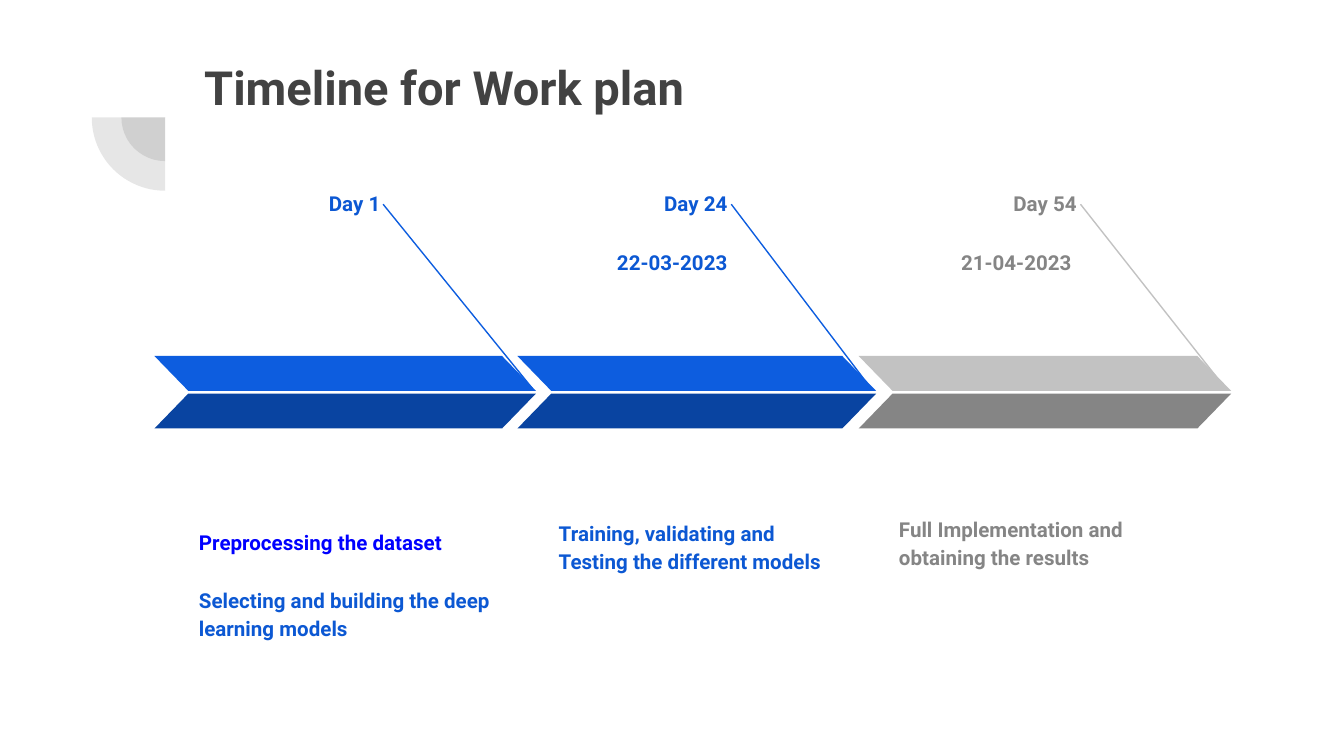
from lxml.etree import SubElement
from pptx import Presentation
from pptx.dml.color import RGBColor
from pptx.enum.shapes import MSO_CONNECTOR, MSO_SHAPE
from pptx.enum.text import PP_ALIGN
from pptx.oxml.ns import qn
from pptx.util import Cm, Pt

FONT = "Roboto"
DARK, BLUE, NAVY, BLUE_TEXT = "424242", "0D5DDF", "0944A1", "0C58D3"
PURE_BLUE, LIGHT_GRAY, GRAY = "0000FF", "C2C2C2", "858585"

TITLE = "Timeline for Work plan"

# Boxes are (left, top, width, height) in cm; tasks pair a text with its colour.
STAGES = [
    dict(dates=["Day 1"], date_box=(4.98, 3.3, 2.46, 1.14), date_color=BLUE_TEXT,
         tasks=[("Preprocessing the dataset", PURE_BLUE),
                ("Selecting and building the deep learning models", BLUE_TEXT)],
         task_box=(3.51, 9.7, 6.07, 3.45),
         bar=(2.92, 7.21), upper=BLUE, lower=NAVY, pointer=(7.24, 10.06)),
    dict(dates=["Day 24", "22-03-2023"], date_box=(10.82, 3.3, 3.18, 1.14),
         date_color=BLUE_TEXT,
         tasks=[("Training, validating and Testing the different models", BLUE_TEXT)],
         task_box=(10.31, 9.53, 5.72, 3.45),
         bar=(9.78, 6.78), upper=BLUE, lower=NAVY, pointer=(13.82, 16.46)),
    dict(dates=["Day 54", "21-04-2023 "], date_box=(17.48, 3.3, 3.12, 2.08),
         date_color=GRAY,
         tasks=[("Full Implementation and obtaining the results", GRAY)],
         task_box=(16.74, 9.45, 5.92, 4.7),
         bar=(16.23, 7.04), upper=LIGHT_GRAY, lower=GRAY, pointer=(20.42, 23.16)),
]
UPPER_TOP, LOWER_TOP, BAR_HEIGHT = 6.73, 7.44, 0.66
POINTER_TOP, POINTER_BOTTOM = 3.86, 7.34
PIE_CENTER, PIE_DIAMETERS = (3.12, 2.22), (1.65, 2.77)


def rgb(color):
    return RGBColor.from_string(color)


def add_text(page, box, lines, size=11, align=PP_ALIGN.LEFT, spacing=1.15):
    """Lines are (text, colour) pairs, one paragraph each."""
    frame = page.shapes.add_textbox(*map(Cm, box)).text_frame
    frame.word_wrap = True
    frame.margin_left = frame.margin_right = Cm(0.25)
    frame.margin_top = frame.margin_bottom = Cm(0.25)
    for index, (text, color) in enumerate(lines):
        para = frame.add_paragraph() if index else frame.paragraphs[0]
        para.alignment = align
        para.line_spacing = spacing
        if index:
            para.space_before = Pt(16)
        span = para.add_run()
        span.text = text
        span.font.name, span.font.size, span.font.bold = FONT, Pt(size), True
        span.font.color.rgb = rgb(color)


def add_filled(page, kind, box, color, adjustments):
    shape = page.shapes.add_shape(kind, *map(Cm, box))
    shape.shadow.inherit = False
    shape.fill.solid()
    shape.fill.fore_color.rgb = rgb(color)
    shape.line.fill.background()
    for index, value in enumerate(adjustments):
        shape.adjustments[index] = value
    return shape


def add_quarter(page, diameter):
    left, top = (center - diameter / 2 for center in PIE_CENTER)
    pie = add_filled(page, MSO_SHAPE.PIE, (left, top, diameter, diameter), DARK, (108, 162))
    pie.rotation = 270
    color = pie.fill._xPr.find(qn("a:solidFill"))[0]
    SubElement(color, qn("a:alpha")).set("val", "13000")


def add_bar(page, stage):
    left, width = stage["bar"]
    for top, color, flipped in ((UPPER_TOP, stage["upper"], True),
                                (LOWER_TOP, stage["lower"], False)):
        half = add_filled(page, MSO_SHAPE.PARALLELOGRAM,
                          (left, top, width, BAR_HEIGHT), color, (0.97,))
        if flipped:
            half._element.spPr.find(qn("a:xfrm")).set("flipH", "1")


def add_pointer(page, stage):
    start, end = stage["pointer"]
    line = page.shapes.add_connector(MSO_CONNECTOR.STRAIGHT, Cm(start), Cm(POINTER_TOP),
                                     Cm(end), Cm(POINTER_BOTTOM))
    line.line.color.rgb = rgb(stage["upper"])
    line.line.width = Pt(0.75)
    SubElement(line._element.spPr, qn("a:effectLst"))


def main():
    deck = Presentation()
    deck.slide_width, deck.slide_height = Cm(25.4), Cm(14.29)
    page = deck.slides.add_slide(deck.slide_layouts[6])
    for diameter in PIE_DIAMETERS:
        add_quarter(page, diameter)
    add_text(page, (3.61, 0.86, 10.54, 1.57), [(TITLE, DARK)], size=25.2, spacing=1.0)
    for stage in STAGES:
        dates = [(text, stage["date_color"]) for text in stage["dates"]]
        add_text(page, stage["date_box"], dates, align=PP_ALIGN.RIGHT)
        add_text(page, stage["task_box"], stage["tasks"])
        add_pointer(page, stage)
        add_bar(page, stage)
    deck.save("out.pptx")


if __name__ == "__main__":
    main()
